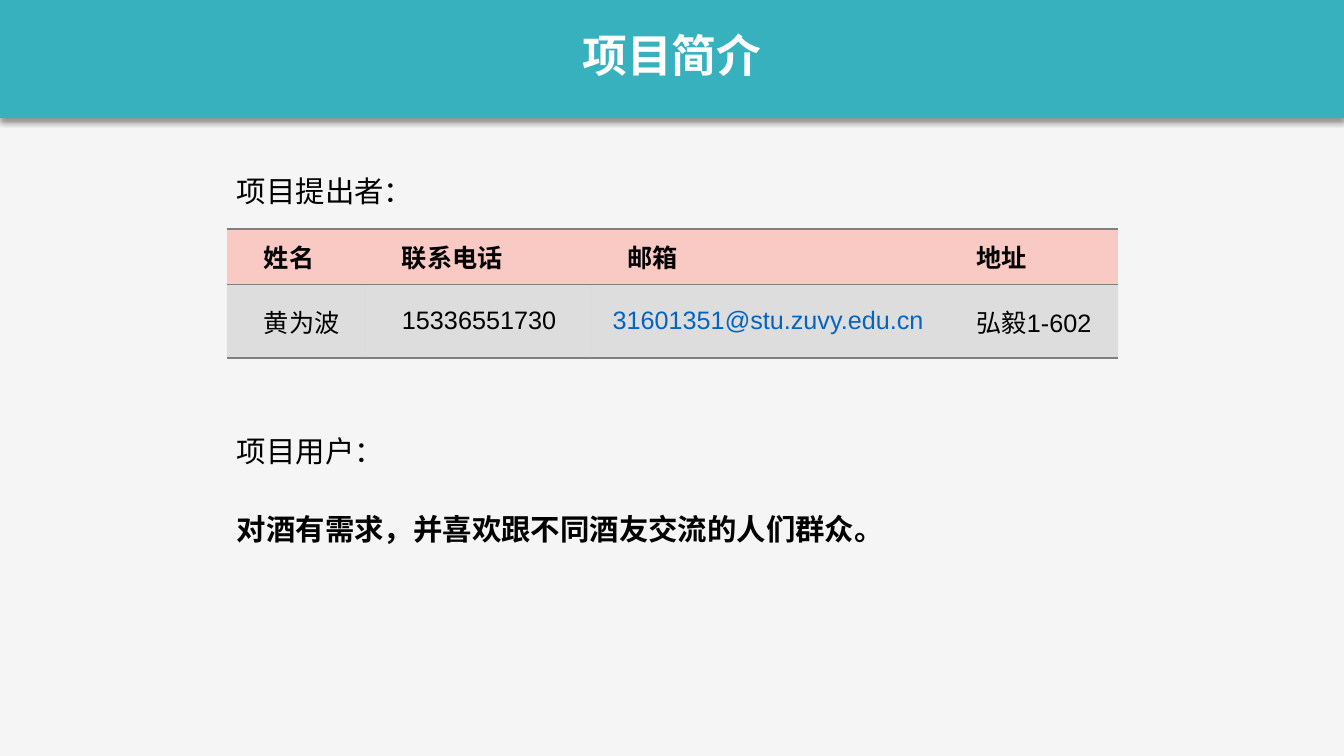
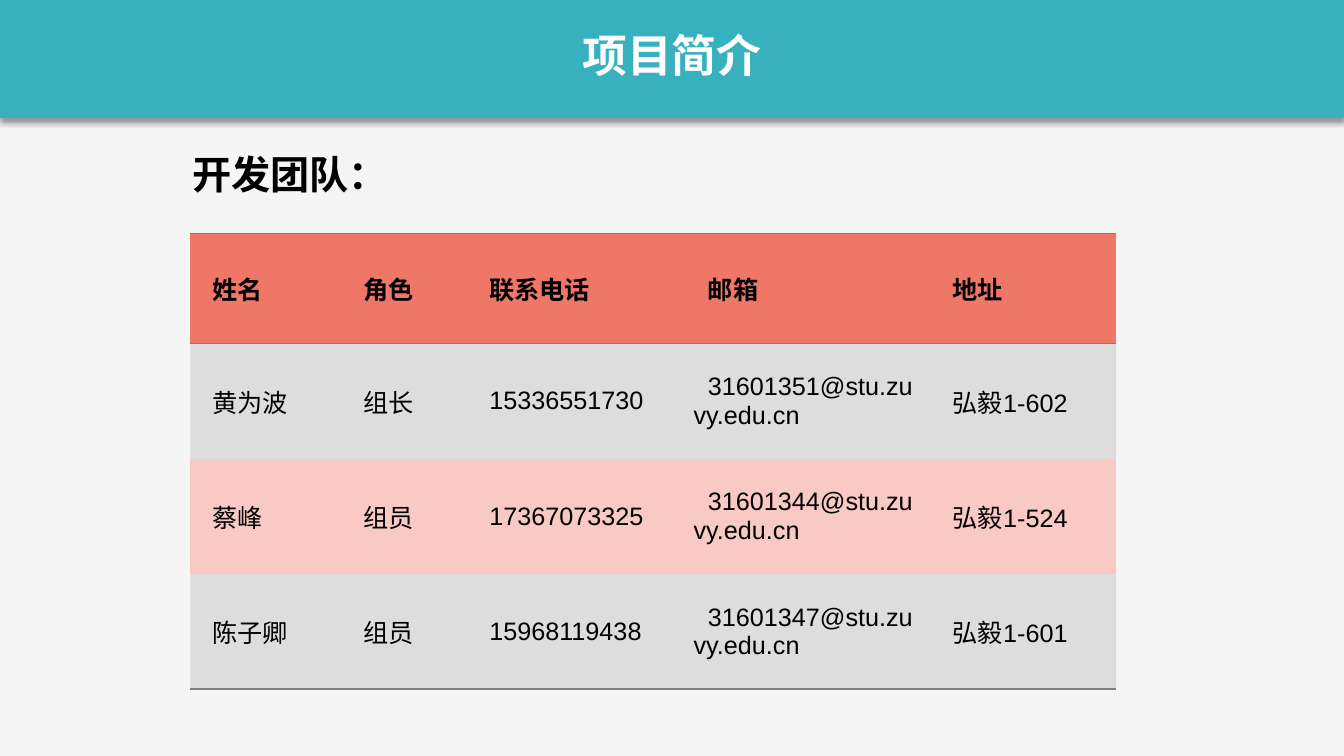
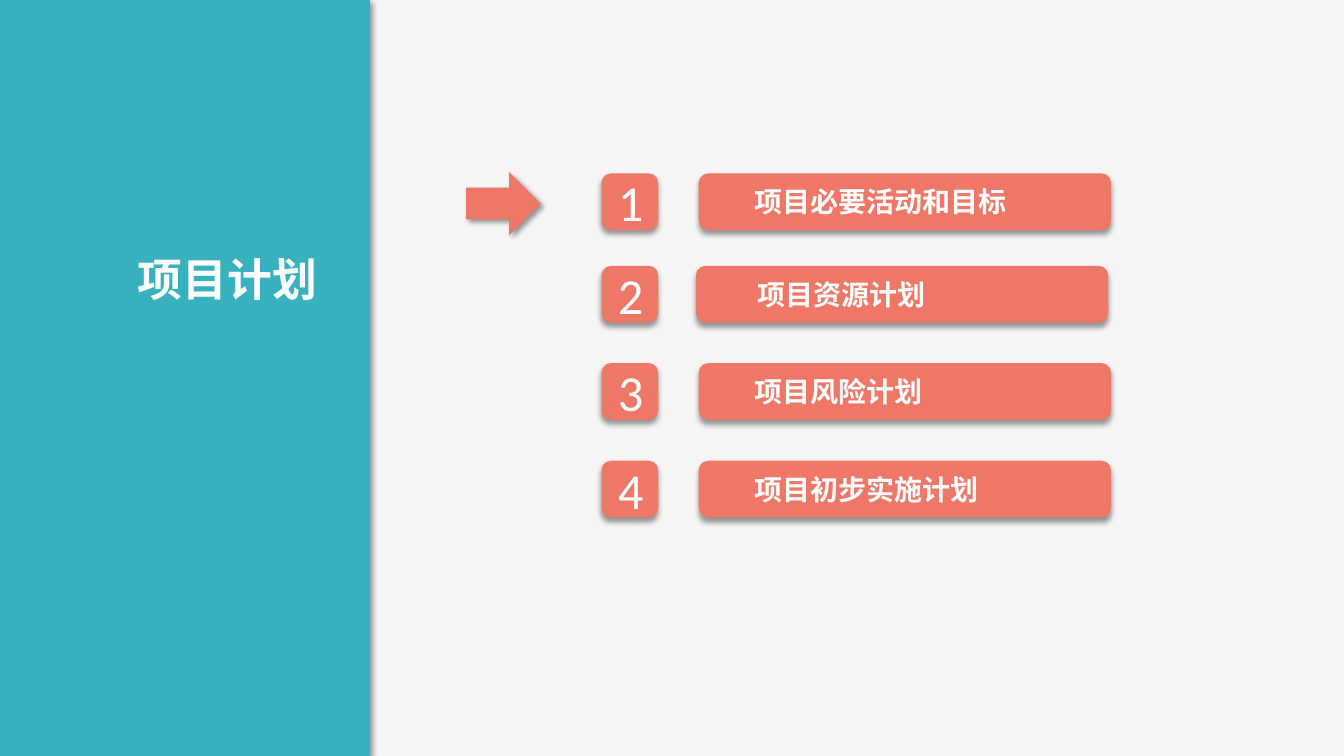
from dataclasses import dataclass

from lxml import etree
from pptx import Presentation
from pptx.dml.color import RGBColor
from pptx.enum.shapes import MSO_SHAPE
from pptx.enum.text import MSO_ANCHOR, MSO_AUTO_SIZE, PP_ALIGN
from pptx.oxml.ns import qn
from pptx.util import Cm, Pt

RECTANGLE = MSO_SHAPE.RECTANGLE
ROUNDED = MSO_SHAPE.ROUNDED_RECTANGLE
DOWN_ARROW = MSO_SHAPE.DOWN_ARROW
MIDDLE = MSO_ANCHOR.MIDDLE
GROW = MSO_AUTO_SIZE.SHAPE_TO_FIT_TEXT
LEFT, CENTER, RIGHT, JUSTIFY = (
    PP_ALIGN.LEFT, PP_ALIGN.CENTER, PP_ALIGN.RIGHT, PP_ALIGN.JUSTIFY)
PLAIN_TABLE = "{2D5ABB26-0587-4C30-8999-92F81FD0307C}"


@dataclass(frozen=True)
class Theme:
    background: str = "F5F5F5"
    teal: str = "38B1BF"
    coral: str = "EF7768"
    pink: str = "F9C9C3"
    gray: str = "7F7F7F"
    black: str = "000000"
    white: str = "FFFFFF"
    link: str = "0563C1"
    chinese: str = "Noto Sans CJK SC"
    body: str = "Calibri"
    grid: str = "Arial"
    title_size: int = 32
    number_size: int = 36
    heading_size: int = 28
    body_size: int = 21
    item_size: int = 20
    cell_size: int = 18


def add_element(parent, tag, **attributes):
    return etree.SubElement(
        parent, qn(tag), {key: str(value) for key, value in attributes.items()})


class SlideBuilder:
    def __init__(self, deck, theme):
        self.deck = deck
        self.theme = theme
        self.page = None

    def new_page(self):
        self.page = self.deck.slides.add_slide(self.deck.slide_layouts[6])
        fill = self.page.background.fill
        fill.solid()
        fill.fore_color.rgb = RGBColor.from_string(self.theme.background)

    def group(self):
        return self.page.shapes.add_group_shape().shapes

    def paragraph(self, frame, text, size, color, font, bold=False, align=LEFT):
        para = frame.paragraphs[0]
        para.text = text
        para.alignment = align
        style = para.font
        style.size = Pt(size)
        style.bold = bold
        style.name = font
        style.color.rgb = RGBColor.from_string(color)
        properties = para._p.pPr.find(qn("a:defRPr"))
        add_element(properties, "a:ea", typeface=self.theme.chinese)
        return para

    def shape(self, kind, left, top, width, height, color, angle=90, parent=None):
        """Filled shape without outline, with a soft shadow."""
        shapes = self.page.shapes if parent is None else parent
        shape = shapes.add_shape(kind, Cm(left), Cm(top), Cm(width), Cm(height))
        shape.fill.solid()
        shape.fill.fore_color.rgb = RGBColor.from_string(color)
        shape.line.fill.background()
        shape.shadow.inherit = False
        effects = shape._element.spPr.find(qn("a:effectLst"))
        shadow = add_element(effects, "a:outerShdw", blurRad=Pt(4), dist=Pt(3),
                             dir=angle * 60000, algn="t", rotWithShape=0)
        tint = add_element(shadow, "a:srgbClr", val=self.theme.black)
        add_element(tint, "a:alpha", val=40000)
        return shape

    def set_insets(self, frame):
        frame.margin_left = frame.margin_right = Cm(0.34)
        frame.margin_top = frame.margin_bottom = Cm(0.17)

    def text(self, left, top, width, height, text, size, color, font,
             bold=False, align=LEFT, wrap=True, roomy=False, parent=None):
        shapes = self.page.shapes if parent is None else parent
        box = shapes.add_textbox(Cm(left), Cm(top), Cm(width), Cm(height))
        frame = box.text_frame
        frame.word_wrap = wrap
        frame.auto_size = GROW
        if roomy:
            self.set_insets(frame)
        self.paragraph(frame, text, size, color, font, bold, align)

    def title_band(self, title):
        theme = self.theme
        self.shape(RECTANGLE, 0, -0.15, 33.87, 3.12, theme.teal)
        self.text(14.42, 0.58, 5.03, 1.62, title, theme.title_size, theme.white,
                  theme.chinese, bold=True, align=CENTER, wrap=False)

    def body_text(self, top, width, text, bold=False):
        theme = self.theme
        self.text(5.72, top, width, 1.14, text, theme.body_size, theme.black,
                  theme.body, bold)

    def rule(self, cell, tag):
        """Thin gray border on one side; borders come before the fill."""
        properties = cell._tc.get_or_add_tcPr()
        line = etree.Element(qn(tag), {"w": str(Pt(1))})
        fill = add_element(line, "a:solidFill")
        add_element(fill, "a:srgbClr", val=self.theme.gray)
        position = len(properties.findall(qn("a:lnT")))
        properties.insert(position, line)

    def table(self, left, top, widths, heights, rows, header_color, indent, align):
        theme = self.theme
        frame = self.page.shapes.add_table(
            len(rows), len(widths), Cm(left), Cm(top),
            Cm(sum(widths)), Cm(sum(heights)))
        table = frame.table
        table.first_row = table.horz_banding = False
        table._tbl.tblPr.find(qn("a:tableStyleId")).text = PLAIN_TABLE
        for column, width in zip(table.columns, widths):
            column.width = Cm(width)
        for row_index, (row, height) in enumerate(zip(rows, heights)):
            table.rows[row_index].height = Cm(height)
            header = row_index == 0
            for column_index, text in enumerate(row):
                cell = table.cell(row_index, column_index)
                cell.vertical_anchor = MIDDLE
                cell.margin_left = cell.margin_right = Cm(0.19)
                cell.margin_top = cell.margin_bottom = 0
                para = self.paragraph(cell.text_frame, text, theme.cell_size,
                                      theme.black, theme.grid, header, align)
                self.indent(para, indent)
                self.fill_cell(cell, row_index, header_color)
                if header:
                    self.rule(cell, "a:lnT")
                if header or row_index == len(rows) - 1:
                    self.rule(cell, "a:lnB")
        return table

    def fill_cell(self, cell, row_index, header_color):
        theme = self.theme
        shaded = row_index % 2 == 1
        color = theme.gray if shaded else theme.pink if row_index else header_color
        cell.fill.solid()
        cell.fill.fore_color.rgb = RGBColor.from_string(color)
        if shaded:
            tint = cell._tc.tcPr.find(qn("a:solidFill"))[0]
            add_element(tint, "a:alpha", val=20000)

    def indent(self, para, width):
        properties = para._p.get_or_add_pPr()
        properties.set("marL", "0")
        properties.set("indent", str(Cm(width)))

    def agenda_item(self, number, top, text, bar_left, text_left):
        theme = self.theme
        badge = self.shape(ROUNDED, 15.16, top, 1.43, 1.43, theme.coral)
        frame = badge.text_frame
        self.set_insets(frame)
        frame.vertical_anchor = MIDDLE
        self.paragraph(frame, str(number), theme.number_size, theme.white,
                       theme.body, align=CENTER)
        group = self.group()
        self.shape(ROUNDED, bar_left, top, 10.39, 1.43, theme.coral, parent=group)
        self.text(text_left, top + 0.12, 7.5, 1.19, text, theme.item_size,
                  theme.white, theme.chinese, bold=True, roomy=True, parent=group)


theme = Theme()
deck = Presentation()
deck.slide_width, deck.slide_height = Cm(33.87), Cm(19.05)
builder = SlideBuilder(deck, theme)

# Project proposer and users
builder.new_page()
builder.title_band("项目简介")
proposer = builder.table(
    5.72, 5.77, [3.48, 5.69, 8.79, 4.5], [1.4, 1.85],
    [["姓名", "联系电话", "邮箱", "地址"],
     ["黄为波", "15336551730", "31601351@stu.zuvy.edu.cn", "弘毅1-602"]],
    theme.pink, indent=0.74, align=LEFT)
email = proposer.cell(1, 2).text_frame.paragraphs[0]
email.font.color.rgb = RGBColor.from_string(theme.link)
builder.indent(email, 0.36)
builder.body_text(4.24, 10.03, "项目提出者：")
builder.body_text(10.8, 4.17, "项目用户：")
builder.body_text(12.75, 18.67, "对酒有需求，并喜欢跟不同酒友交流的人们群众。", bold=True)

# Development team
builder.new_page()
builder.title_band("项目简介")
builder.table(
    4.8, 5.89, [3.81, 3.17, 5.51, 6.17, 4.67], [2.77, 2.9, 2.9, 2.9],
    [["姓名", "角色", "联系电话", "邮箱", "地址"],
     ["黄为波", "组长", "15336551730", "31601351@stu.zuvy.edu.cn", "弘毅1-602"],
     ["蔡峰", "组员", "17367073325", "31601344@stu.zuvy.edu.cn", "弘毅1-524"],
     ["陈子卿", "组员", "15968119438", "31601347@stu.zuvy.edu.cn", "弘毅1-601"]],
    theme.coral, indent=0.36, align=JUSTIFY)
builder.text(4.6, 3.66, 7.92, 1.45, "开发团队：", theme.heading_size, theme.black,
             theme.body, bold=True)

# Plan agenda
builder.new_page()
agenda = [
    (4.37, "项目必要活动和目标", 17.61, 18.67),
    (6.7, "项目资源计划", 17.54, 18.75),
    (9.15, "项目风险计划", 17.61, 18.67),
    (11.61, "项目初步实施计划", 17.61, 18.67),
]
for number, item in enumerate(agenda, start=1):
    builder.agenda_item(number, *item)
builder.shape(RECTANGLE, -0.3, 0, 9.63, 19.05, theme.teal, angle=45)
builder.text(0.53, 6.17, 7.8, 1.7, "项目计划", theme.title_size, theme.white,
             theme.chinese, bold=True, align=RIGHT, roomy=True)
arrow = builder.shape(DOWN_ARROW, 11.89, 4.19, 1.6, 1.88, theme.coral, angle=45)
arrow.rotation = 270

deck.save("out.pptx")
